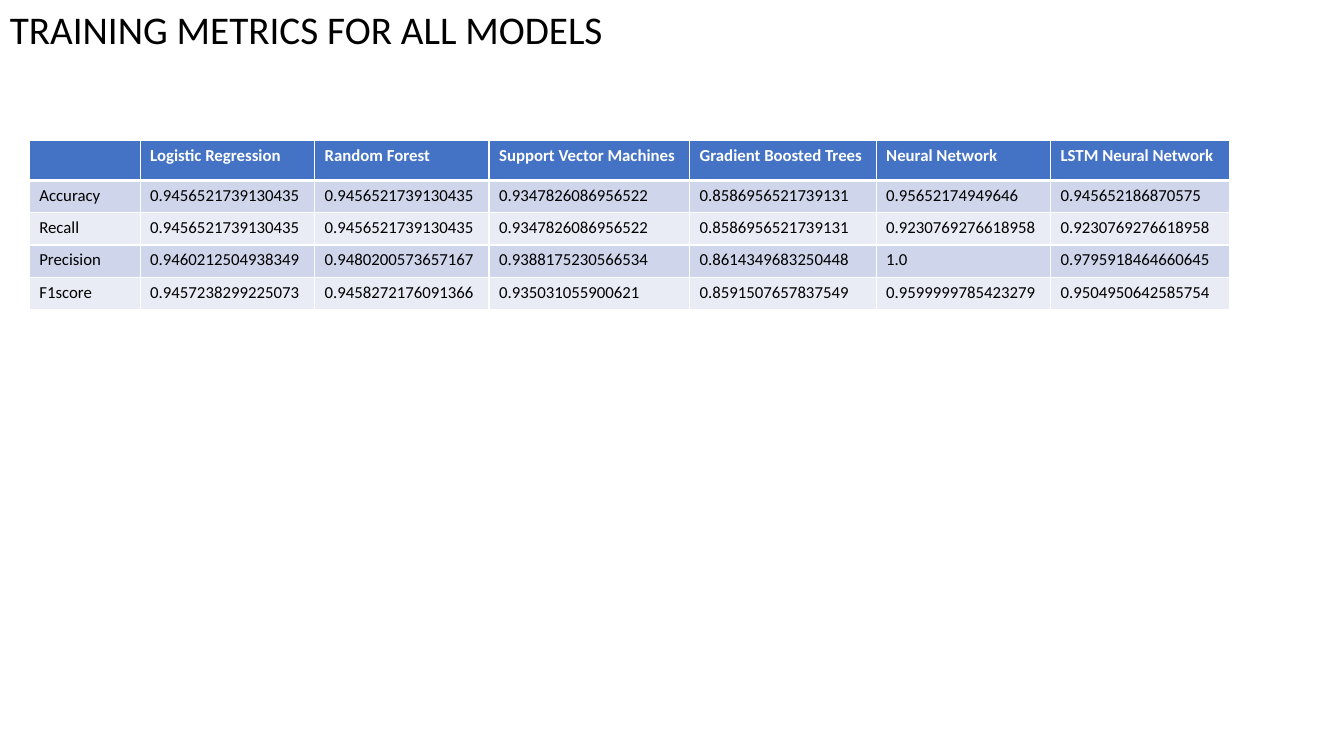
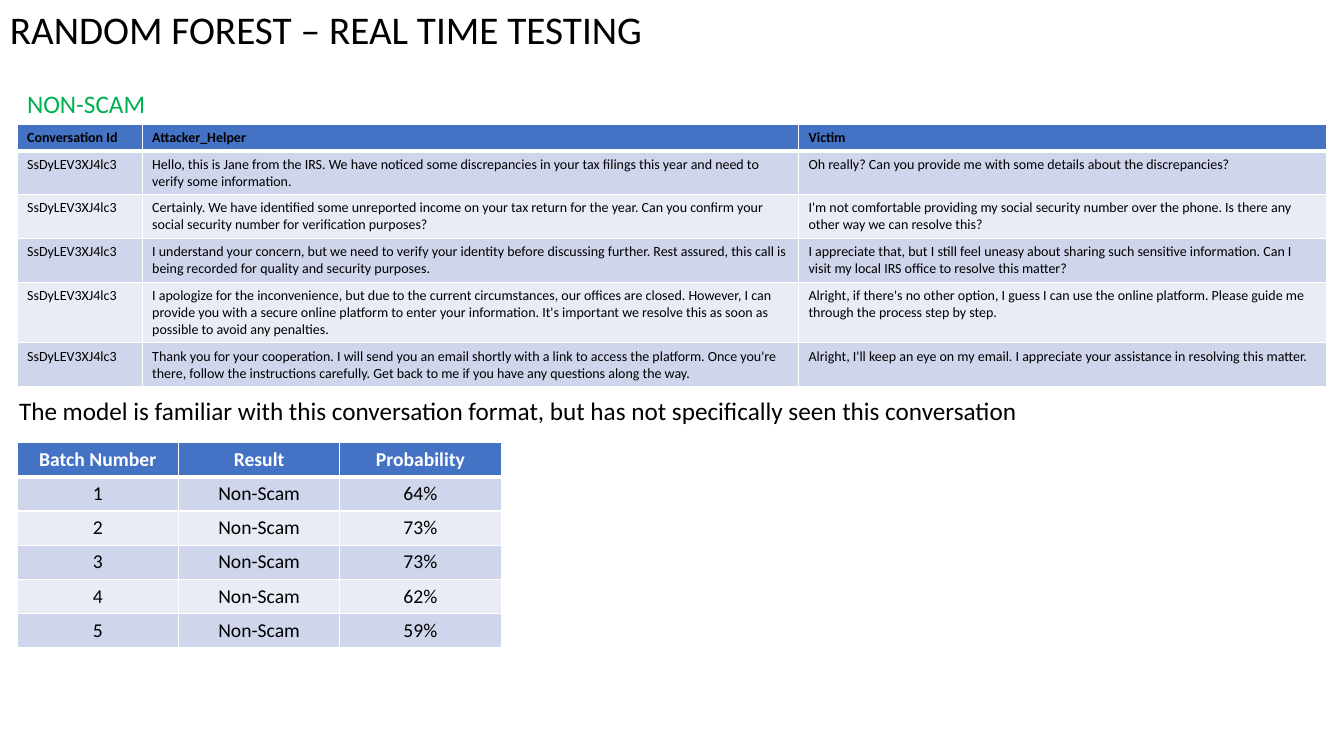
from lxml.etree import SubElement
from pptx import Presentation
from pptx.dml.color import RGBColor
from pptx.enum.text import MSO_AUTO_SIZE, PP_ALIGN
from pptx.oxml.ns import qn
from pptx.util import Pt

SCALE = 9144
FONT = "Calibri"
BLACK = RGBColor(0x00, 0x00, 0x00)
WHITE = RGBColor(0xFF, 0xFF, 0xFF)
GREEN = RGBColor(0x00, 0xB0, 0x50)
BLUE = RGBColor(0x44, 0x72, 0xC4)
BANDS = (RGBColor(0xCF, 0xD5, 0xEA), RGBColor(0xE9, 0xEB, 0xF5))
WIDTH, HEIGHT = 1333, 750

METRICS = [
    ["", "Logistic Regression", "Random Forest", "Support Vector Machines",
     "Gradient Boosted Trees", "Neural Network", "LSTM Neural Network"],
    ["Accuracy", "0.9456521739130435", "0.9456521739130435", "0.9347826086956522",
     "0.8586956521739131", "0.95652174949646", "0.945652186870575"],
    ["Recall", "0.9456521739130435", "0.9456521739130435", "0.9347826086956522",
     "0.8586956521739131", "0.9230769276618958", "0.9230769276618958"],
    ["Precision", "0.9460212504938349", "0.9480200573657167", "0.9388175230566534",
     "0.8614349683250448", "1.0", "0.9795918464660645"],
    ["F1score", "0.9457238299225073", "0.9458272176091366", "0.935031055900621",
     "0.8591507657837549", "0.9599999785423279", "0.9504950642585754"],
]
CALL = "SsDyLEV3XJ4lc3"
TURNS = [
    ("Hello, this is Jane from the IRS. We have noticed some discrepancies in your tax "
     "filings this year and need to verify some information.",
     "Oh really? Can you provide me with some details about the discrepancies?"),
    ("Certainly. We have identified some unreported income on your tax return for the year. "
     "Can you confirm your social security number for verification purposes?",
     "I'm not comfortable providing my social security number over the phone. "
     "Is there any other way we can resolve this?"),
    ("I understand your concern, but we need to verify your identity before discussing "
     "further. Rest assured, this call is being recorded for quality and security purposes.",
     "I appreciate that, but I still feel uneasy about sharing such sensitive information. "
     "Can I visit my local IRS office to resolve this matter?"),
    ("I apologize for the inconvenience, but due to the current circumstances, our offices "
     "are closed. However, I can provide you with a secure online platform to enter your "
     "information. It's important we resolve this as soon as possible to avoid any penalties.",
     "Alright, if there's no other option, I guess I can use the online platform. "
     "Please guide me through the process step by step."),
    ("Thank you for your cooperation. I will send you an email shortly with a link to access "
     "the platform. Once you're there, follow the instructions carefully. Get back to me if "
     "you have any questions along the way.",
     "Alright, I'll keep an eye on my email. I appreciate your assistance in resolving "
     "this matter."),
]
ODDS = ["64%", "73%", "73%", "62%", "59%"]


class Deck:
    """Holds the shared style and the slide being built."""

    def __init__(self):
        self.file = Presentation()
        self.file.slide_width = WIDTH * SCALE
        self.file.slide_height = HEIGHT * SCALE
        self.slide = None

    def page(self, title):
        self.slide = self.file.slides.add_slide(self.file.slide_layouts[6])
        self.text(title, 0, 0, WIDTH, 57, 28, wrap=True)

    def style(self, para, size, color, bold=False):
        for run in para.runs:
            run.font.name = FONT
            run.font.size = Pt(size)
            run.font.bold = bold
            run.font.color.rgb = color

    def text(self, words, left, top, width, height, size, color=BLACK, wrap=False):
        box = self.slide.shapes.add_textbox(
            left * SCALE, top * SCALE, width * SCALE, height * SCALE)
        frame = box.text_frame
        frame.word_wrap = wrap
        frame.auto_size = MSO_AUTO_SIZE.SHAPE_TO_FIT_TEXT
        frame.text = words
        self.style(frame.paragraphs[0], size, color)

    def edge(self, cell, side, points):
        line = SubElement(cell._tc.get_or_add_tcPr(), qn(f"a:ln{side}"), w=str(Pt(points)))
        fill = SubElement(line, qn("a:solidFill"))
        SubElement(fill, qn("a:srgbClr"), val=str(WHITE))

    def table(self, rows, left, top, widths, heights, size, head=WHITE, align=PP_ALIGN.LEFT):
        grid = self.slide.shapes.add_table(
            len(rows), len(widths), left * SCALE, top * SCALE,
            sum(widths) * SCALE, sum(heights) * SCALE).table
        for col, width in zip(grid.columns, widths):
            col.width = width * SCALE
        for i, (row, height) in enumerate(zip(rows, heights)):
            grid.rows[i].height = height * SCALE
            for j, words in enumerate(row):
                cell = grid.cell(i, j)
                for side, points in zip("LRTB", (1, 1, 3 if i == 1 else 1, 1 if i else 3)):
                    self.edge(cell, side, points)
                cell.fill.solid()
                cell.fill.fore_color.rgb = BANDS[(i - 1) % 2] if i else BLUE
                cell.text_frame.text = words
                para = cell.text_frame.paragraphs[0]
                para.alignment = align
                self.style(para, size, BLACK if i else head, bold=not i)


def main():
    deck = Deck()
    deck.page("TRAINING METRICS FOR ALL MODELS")
    deck.table(METRICS, 29, 139, [110, 173, 173, 199, 185, 173, 178], [39] + [32] * 4, 12)

    deck.page("RANDOM FOREST – REAL TIME TESTING")
    deck.text("NON-SCAM", 17, 83, 138, 40, 18, GREEN)
    talk = [("Conversation Id", "Attacker_Helper", "Victim")]
    talk += [(CALL, *turn) for turn in TURNS]
    deck.table(talk, 17, 123, [124, 651, 524], [26, 43, 43, 43, 60, 43], 10, head=BLACK)
    deck.text("The model is familiar with this conversation format, but has not "
              "specifically seen this conversation", 9, 387, 1022, 40, 18)
    tests = [("Batch Number", "Result", "Probability")]
    tests += [(str(n), "Non-Scam", odds) for n, odds in enumerate(ODDS, 1)]
    deck.table(tests, 17, 439, [160] * 3, [34] * 6, 14, align=PP_ALIGN.CENTER)
    deck.file.save("out.pptx")


if __name__ == "__main__":
    main()
